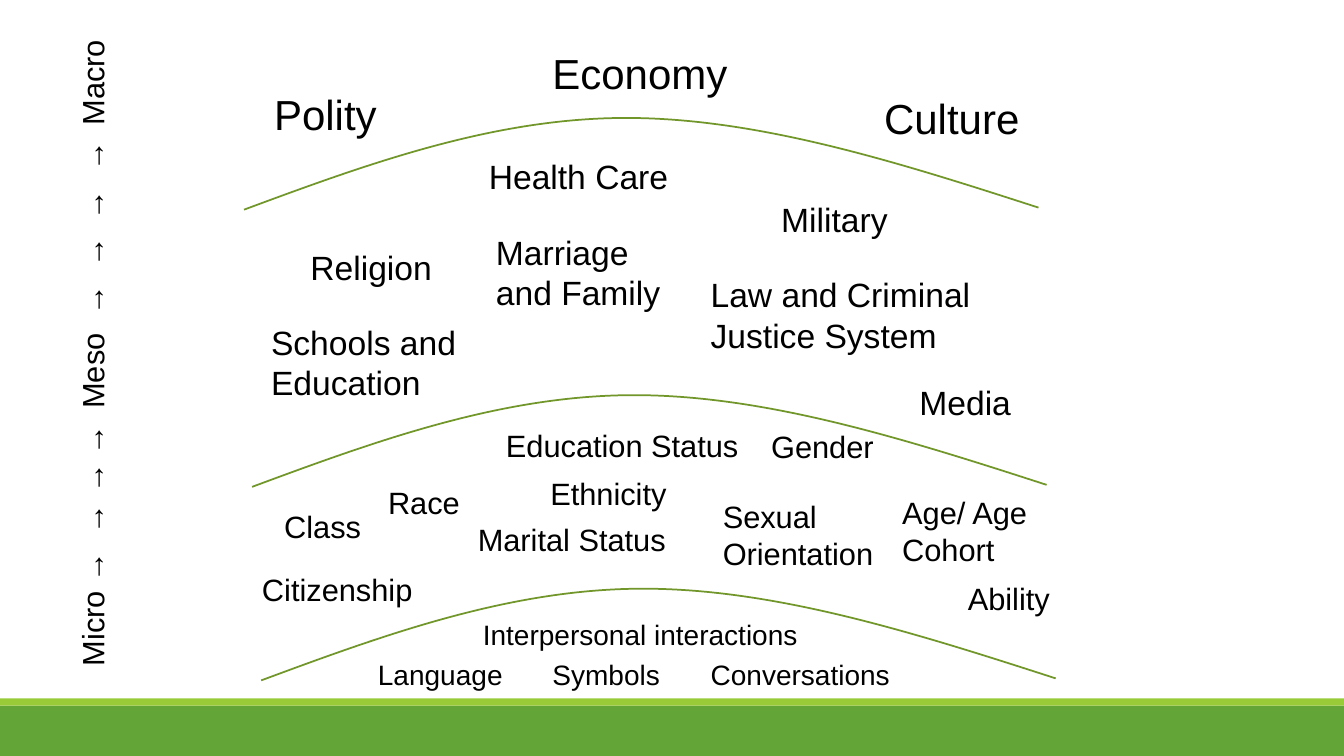
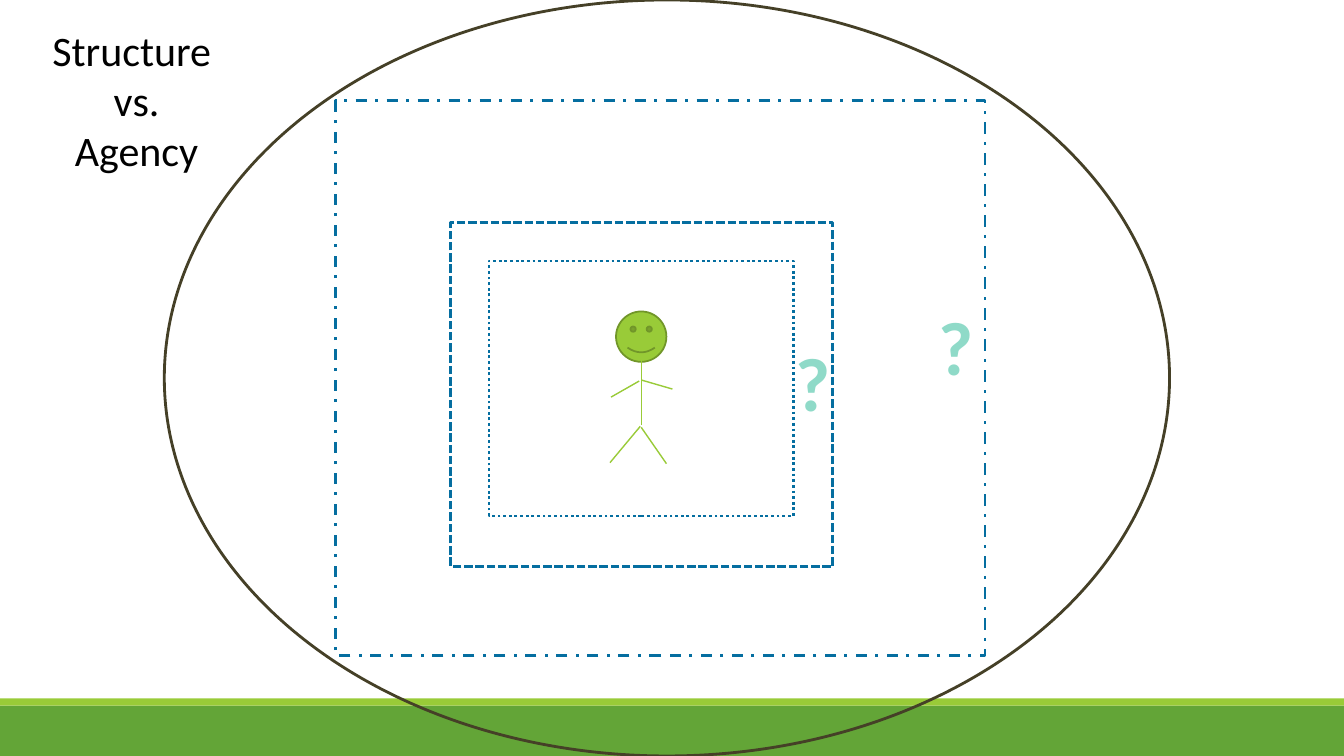
from pptx import Presentation
from pptx.dml.color import RGBColor
from pptx.enum.dml import MSO_LINE
from pptx.enum.shapes import MSO_CONNECTOR, MSO_SHAPE
from pptx.enum.text import MSO_AUTO_SIZE, PP_ALIGN
from pptx.oxml.ns import qn
from pptx.util import Inches, Pt
from lxml.etree import SubElement

BLACK = RGBColor(0x00, 0x00, 0x00)
GREEN = RGBColor(0x63, 0xA5, 0x37)
LIME = RGBColor(0x99, 0xCB, 0x38)
OLIVE = RGBColor(0x71, 0x96, 0x29)
BROWN = RGBColor(0x45, 0x40, 0x27)
BLUE = RGBColor(0x05, 0x6E, 0xA0)
MINT = RGBColor(0x8F, 0xDA, 0xC8)

WIDTH, HEIGHT = 13.33, 7.5
BANDS = [(7, 0.5, GREEN), (6.93, 0.07, LIME)]

MACRO = {"size": Pt(30), "name": "Arial"}
MESO = {"size": Pt(24), "name": "Arial"}
MICRO = {"size": Pt(22), "name": "Arial"}
INTERACTION = {"size": Pt(20), "name": "Arial"}
HEADING = {"size": Pt(30), "name": "Calibri"}
QUESTION = {"size": Pt(54), "name": "Calibri", "bold": True}

# Left and top of each arc that separates two levels
ARCS = [(2.42, 1.17), (2.5, 3.92), (2.59, 5.84)]
# Start, then three Bezier points for each half, relative to left and top
ARC_POINTS = [
    (0, 0.91),
    (1.24, 0.45), (2.48, 0), (3.79, 0),
    (5.1, 0), (6.49, 0.44), (7.88, 0.89),
]

LABELS = [
    (MACRO, [
        ("Polity", 2.62, 0.83, 1.23, 0.61),
        ("Economy", 5.38, 0.42, 1.95, 0.61),
        ("Culture", 8.67, 0.87, 1.56, 0.61),
    ]),
    (MESO, [
        ("Health Care", 4.75, 1.5, 2, 0.51),
        ("Military", 7.65, 1.92, 1.27, 0.51),
        ("Religion", 2.98, 2.4, 1.42, 0.51),
        ("Marriage\nand Family", 4.82, 2.25, 1.85, 0.91),
        ("Law and Criminal\nJustice System", 6.95, 2.67, 2.9, 0.91),
        ("Schools and\nEducation", 2.59, 3.14, 2.06, 0.91),
        ("Media", 9.02, 3.74, 1.12, 0.51),
    ]),
    (MICRO, [
        ("Education Status", 4.92, 4.18, 2.53, 0.47),
        ("Gender", 7.55, 4.19, 1.23, 0.47),
        ("Race", 3.75, 4.75, 0.92, 0.47),
        ("Ethnicity", 5.36, 4.66, 1.37, 0.47),
        ("Class", 2.72, 4.99, 0.97, 0.47),
        ("Marital Status", 4.64, 5.12, 2.09, 0.47),
        ("Sexual\nOrientation", 7.07, 4.89, 1.71, 0.84),
        ("Age/ Age\nCohort", 8.85, 4.85, 1.54, 0.84),
        ("Citizenship", 2.5, 5.61, 1.71, 0.47),
        ("Ability", 9.5, 5.7, 1.02, 0.47),
    ]),
    (INTERACTION, [
        ("Interpersonal interactions", 4.69, 6.08, 3.35, 0.44),
    ]),
]

SCALE = ["Micro", "→", "→", "→", "→", "Meso", "→", "→", "→", "→", "Macro"]
SCALE_STOPS = [0.98, 1.46, 1.87, 2.24, 2.93, 3.63, 4.11, 4.58, 5.06, 5.79]
PRACTICES = ["Language", "Symbols", "Conversations"]
PRACTICE_STOPS = [1.73, 3.3]

LIMBS = [
    (6.36, 3.55, 6.36, 4.22),
    (6.36, 4.24, 6.61, 4.6),
    (6.05, 4.59, 6.35, 4.23),
    (6.36, 3.77, 6.67, 3.86),
    (6.06, 3.94, 6.34, 3.78),
]
BOUNDARIES = [
    (MSO_SHAPE.RECTANGLE, (4.85, 2.59, 3.02, 2.53), BLUE, MSO_LINE.ROUND_DOT),
    (MSO_SHAPE.OVAL, (1.63, 0, 9.97, 7.5), BROWN, MSO_LINE.SOLID),
    (MSO_SHAPE.RECTANGLE, (4.47, 2.21, 3.79, 3.41), BLUE, MSO_LINE.SQUARE_DOT),
    (MSO_SHAPE.RECTANGLE, (3.33, 1, 6.44, 5.5), BLUE, MSO_LINE.DASH_DOT),
]


def style_shape(sp, fill=None, line=None, width=1.25, dash=None):
    sp.shadow.inherit = False
    if fill is None:
        sp.fill.background()
    else:
        sp.fill.solid()
        sp.fill.fore_color.rgb = fill
    if line is None:
        sp.line.fill.background()
        return
    sp.line.color.rgb = line
    sp.line.width = Pt(width)
    if dash is not None:
        sp.line.dash_style = dash


def add_shape(s, kind, box, **style):
    sp = s.shapes.add_shape(kind, *map(Inches, box))
    style_shape(sp, **style)
    return sp


def add_bands(s, layout):
    """Draw the footer bands and move them to the layout all slides share."""
    for i, (top, height, color) in enumerate(BANDS):
        sp = add_shape(s, MSO_SHAPE.RECTANGLE, (0, top, WIDTH, height), fill=color)
        sp.element.nvSpPr.cNvPr.set("id", str(20 + i))
        layout.shapes.element.append(sp.element)


def add_label(s, text, box, font, color=BLACK, align=PP_ALIGN.LEFT):
    sp = s.shapes.add_textbox(*map(Inches, box))
    tf = sp.text_frame
    tf.word_wrap = False
    tf.auto_size = MSO_AUTO_SIZE.SHAPE_TO_FIT_TEXT
    tf.text = text
    for p in tf.paragraphs:
        p.alignment = align
        for r in p.runs:
            for key, value in font.items():
                setattr(r.font, key, value)
            r.font.color.rgb = color
    return sp


def add_tabbed_label(s, words, stops, box, font, tab_align):
    """Put words on one line, each after the first at its own tab stop."""
    sp = add_label(s, "\t".join(words), box, font)
    tf = sp.text_frame
    tf.word_wrap = True
    tf.auto_size = MSO_AUTO_SIZE.NONE
    pPr = sp.element.txBody.p_lst[0].get_or_add_pPr()
    tabs = SubElement(pPr, qn("a:tabLst"))
    for stop in stops:
        SubElement(tabs, qn("a:tab"), pos=str(Inches(stop)), algn=tab_align)
    return sp


def add_arc(s, left, top):
    """Draw an open outline and turn each three of its segments into one curve."""
    points = [(Inches(left + x), Inches(top + y)) for x, y in ARC_POINTS]
    builder = s.shapes.build_freeform(*points[0])
    builder.add_line_segments(points[1:], close=False)
    sp = builder.convert_to_shape()
    segments = list(sp.element.iter(qn("a:lnTo")))
    outline = segments[0].getparent()
    for i in range(0, len(segments), 3):
        curve = SubElement(outline, qn("a:cubicBezTo"))
        for segment in segments[i:i + 3]:
            curve.append(segment[0])
            outline.remove(segment)
    style_shape(sp, line=OLIVE)


def add_line(s, ends, color, width):
    cx = s.shapes.add_connector(MSO_CONNECTOR.STRAIGHT, *map(Inches, ends))
    cx.line.color.rgb = color
    cx.line.width = Pt(width)
    SubElement(cx.element.spPr, qn("a:effectLst"))


def build_levels(s):
    for left, top in ARCS:
        add_arc(s, left, top)
    for font, labels in LABELS:
        for text, *box in labels:
            add_label(s, text, box, font)
    scale = add_tabbed_label(s, SCALE, SCALE_STOPS, (0.68, 0.21, 0.88, 6.5), MICRO, "ctr")
    scale.element.txBody.bodyPr.set("vert", "vert270")
    add_tabbed_label(s, PRACTICES, PRACTICE_STOPS, (3.65, 6.47, 5.33, 0.44), INTERACTION, "l")


def build_structure_agency(s):
    add_shape(s, MSO_SHAPE.SMILEY_FACE, (6.11, 3.09, 0.5, 0.5), fill=LIME, line=OLIVE)
    for ends in LIMBS:
        add_line(s, ends, LIME, 1)
    for kind, box, color, dash in BOUNDARIES:
        add_shape(s, kind, box, line=color, width=2, dash=dash)
    for left, top in [(7.79, 3.28), (9.21, 2.93)]:
        add_label(s, "?", (left, top, 0.55, 1.01), QUESTION, MINT, PP_ALIGN.CENTER)
    add_label(s, "Structure \nvs.\nAgency", (0.41, 0.19, 1.89, 1.62), HEADING,
              align=PP_ALIGN.CENTER)


def main():
    prs = Presentation()
    prs.slide_width, prs.slide_height = Inches(WIDTH), Inches(HEIGHT)
    blank = prs.slide_layouts[6]
    levels, structure = (prs.slides.add_slide(blank) for _ in range(2))
    add_bands(levels, blank)
    build_levels(levels)
    build_structure_agency(structure)
    prs.save("out.pptx")


if __name__ == "__main__":
    main()
